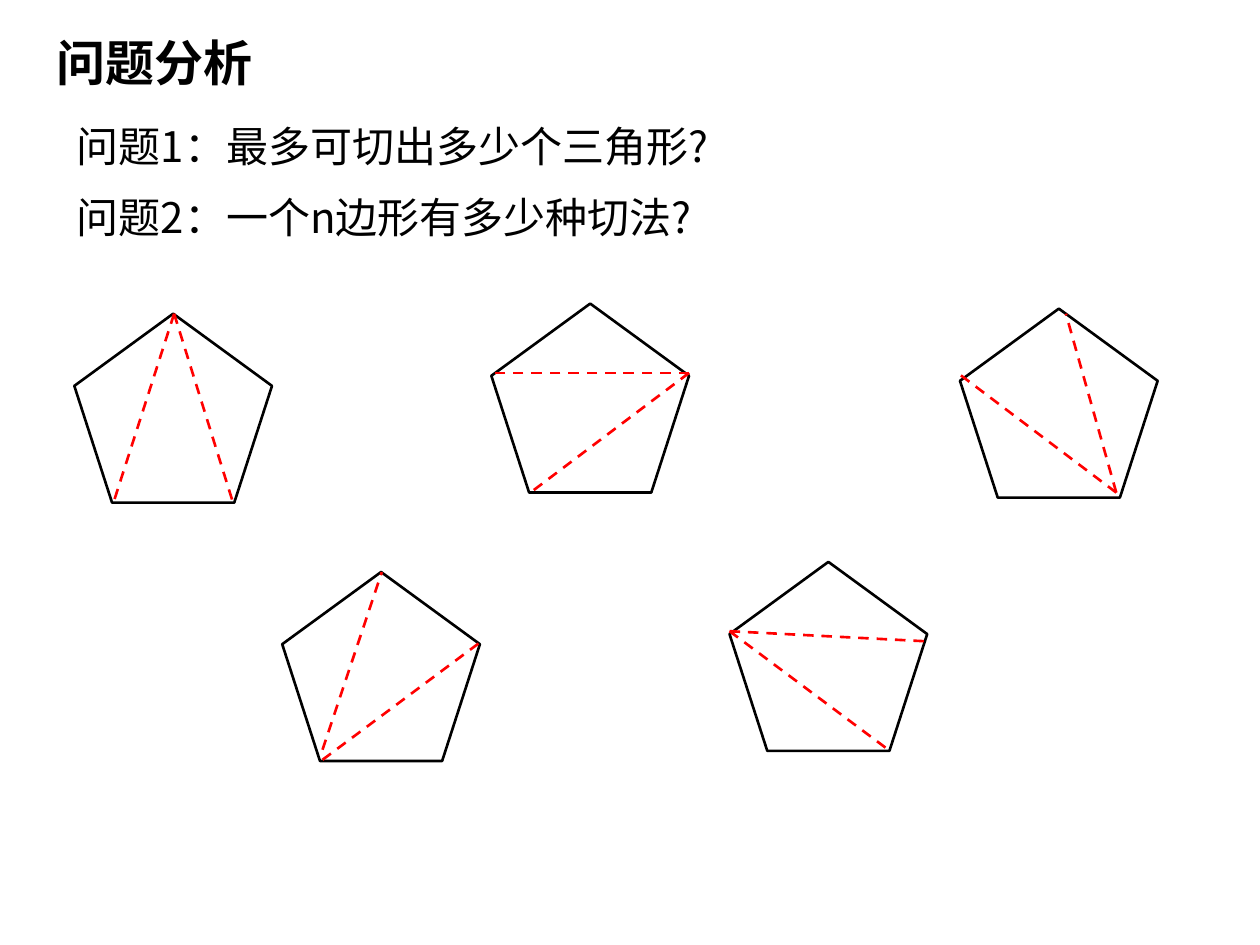
from pptx import Presentation
from pptx import util as u
from pptx.dml.color import RGBColor
from pptx.enum import dml, shapes, text
from pptx.oxml.ns import qn
from lxml import etree

THEME = {
    "ink": RGBColor(0, 0, 0),
    "cut": RGBColor(255, 0, 0),
    "latin": "Arial",
    "cjk": "Noto Sans CJK SC",
    "title_size": 28,
    "body_size": 24,
    "line": 1.5,
}

HEADING = "问题分析"
QUESTIONS = ["问题1：最多可切出多少个三角形?", "问题2：一个n边形有多少种切法?"]

PENTAGON_SIZE = (113, 108)
TRIANGULATIONS = [
    {"at": (42.5, 179.3), "cuts": [((57, 0), (22.3, 108)), ((57, 0), (90.7, 108))]},
    {"at": (280.8, 173.5), "cuts": [((113, 39.6), (0, 39.6)), ((113, 39.6), (22.3, 108))]},
    {"at": (548.6, 176.4), "cuts": [((89.3, 105.1), (60.5, 2.9)), ((89.3, 105.1), (-1.4, 36.7))]},
    {"at": (161.3, 326.9), "cuts": [((23, 107.3), (113.8, 39.6)), ((23, 101.5), (56.9, 0))]},
    {"at": (416.9, 321.1), "cuts": [((0, 39.6), (113, 45.4)), ((0, 39.6), (90.7, 107.3))]},
]


def write(holder, lines, *, box, size, font, bold=False, gap=0):
    holder.left, holder.top, holder.width, holder.height = map(u.Pt, box)
    frame = holder.text_frame
    frame.word_wrap = True
    frame.auto_size = text.MSO_AUTO_SIZE.NONE
    frame.vertical_anchor = text.MSO_ANCHOR.TOP
    for index, line in enumerate(lines):
        paragraph = frame.paragraphs[0] if index == 0 else frame.add_paragraph()
        paragraph.alignment = text.PP_ALIGN.LEFT
        paragraph.space_before = u.Pt(gap if index else 0)
        properties = paragraph._p.get_or_add_pPr()
        properties.set("marL", "0")
        properties.set("indent", "0")
        etree.SubElement(properties, qn("a:buNone"))
        run = paragraph.add_run()
        run.text = line
        run.font.size = u.Pt(size)
        run.font.bold = bold
        run.font.color.rgb = THEME["ink"]
        run.font.name = font
        east_asian = etree.Element(qn("a:ea"), typeface=THEME["cjk"])
        run._r.rPr.find(qn("a:latin")).addnext(east_asian)


def draw_pentagon(slide, at):
    pentagon = slide.shapes.add_shape(
        shapes.MSO_SHAPE.REGULAR_PENTAGON, *map(u.Pt, at + PENTAGON_SIZE))
    pentagon.shadow.inherit = False
    pentagon.fill.background()
    pentagon.line.color.rgb = THEME["ink"]
    pentagon.line.width = u.Pt(THEME["line"])


def draw_cut(slide, at, start, end):
    ends = [u.Pt(origin + offset) for point in (start, end) for origin, offset in zip(at, point)]
    cut = slide.shapes.add_connector(shapes.MSO_CONNECTOR.STRAIGHT, *ends)
    cut.line.color.rgb = THEME["cut"]
    cut.line.width = u.Pt(THEME["line"])
    cut.line.dash_style = dml.MSO_LINE.DASH
    etree.SubElement(cut._element.spPr, qn("a:effectLst"))


def main():
    deck = Presentation()
    deck.slide_width, deck.slide_height = u.Pt(720), u.Pt(540)
    slide = deck.slides.add_slide(deck.slide_layouts[1])
    write(slide.shapes.title, [HEADING], box=(25.2, 15.1, 178.6, 41),
          size=THEME["title_size"], font=THEME["latin"], bold=True)
    write(slide.placeholders[1], QUESTIONS, box=(36.7, 65.5, 394.6, 88),
          size=THEME["body_size"], font=THEME["cjk"], gap=11.3)
    for triangulation in TRIANGULATIONS:
        draw_pentagon(slide, triangulation["at"])
        for start, end in triangulation["cuts"]:
            draw_cut(slide, triangulation["at"], start, end)
    deck.save("out.pptx")


if __name__ == "__main__":
    main()
